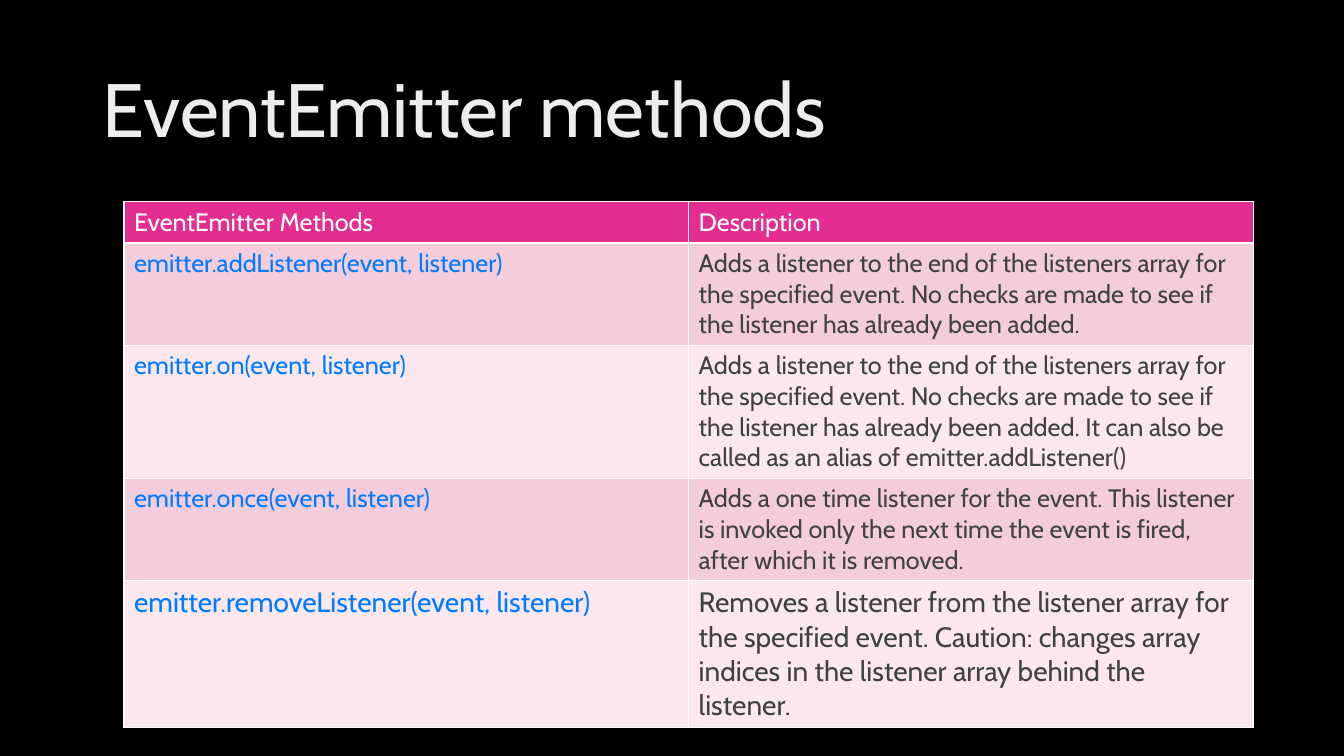
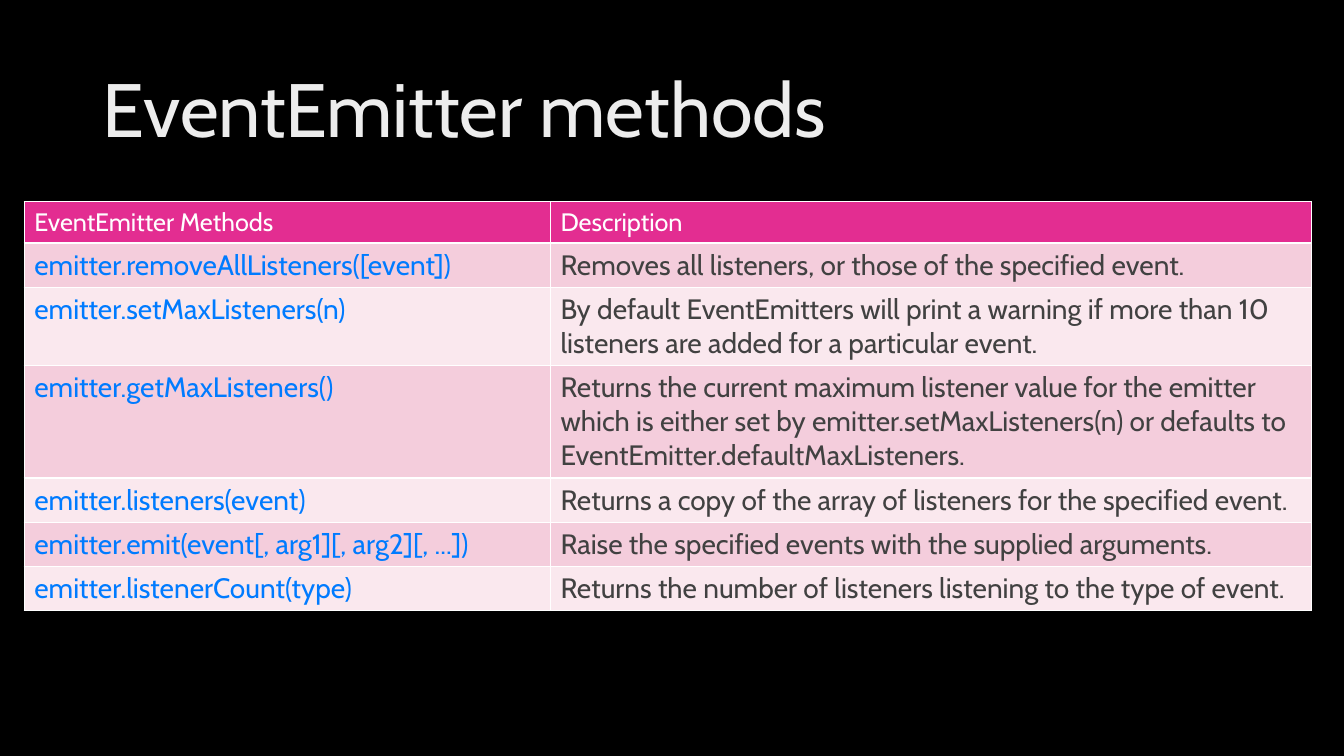
"""Two dark slides listing the EventEmitter methods in pink tables."""
import copy

import pptx
import pptx.util
import pptx.dml.color
import pptx.enum.text
import pptx.oxml
import pptx.oxml.ns

Inches, Pt = pptx.util.Inches, pptx.util.Pt
FONT = "Cabin"
COLORS = {
    "background": "000000",
    "header": "E32D91",
    "bands": ("F4CDDC", "FAE8EE"),
    "border": "FFFFFF",
    "header_text": "FFFFFF",
    "method": "007BFF",
    "description": "414141",
}
TITLE_STOPS = [(0, "DEDEDE"), (0.28, "EDEDED"), (1, "FFFFFF")]
TITLE_BOX = (0.92, 0.4, 11.5, 1.45)
TABLE_TOP, ROW_HEIGHT = 2, 0.41
HEADER = ("EventEmitter Methods", "Description", 18)

SLIDES = [
    {
        "title": "EventEmitter methods",
        "left": 1.23,
        "columns": (5.6, 5.6),
        "rows": [
            ("emitter.addListener(event, listener)",
             "Adds a listener to the end of the listeners array for the specified event. "
             "No checks are made to see if the listener has already been added.", 18),
            ("emitter.on(event, listener)",
             "Adds a listener to the end of the listeners array for the specified event. "
             "No checks are made to see if the listener has already been added. "
             "It can also be called as an alias of emitter.addListener()", 18),
            ("emitter.once(event, listener)",
             "Adds a one time listener for the event. This listener is invoked only "
             "the next time the event is fired, after which it is removed.", 18),
            ("emitter.removeListener(event, listener)",
             "Removes a listener from the listener array for the specified event. "
             "Caution: changes array indices in the listener array behind the listener.", 20),
        ],
    },
    {
        "title": "EventEmitter methods",
        "left": 0.24,
        "columns": (5.22, 7.55),
        "rows": [
            ("emitter.removeAllListeners([event])",
             "Removes all listeners, or those of the specified event.", 20),
            ("emitter.setMaxListeners(n)",
             "By default EventEmitters will print a warning if more than 10 listeners "
             "are added for a particular event.", 20),
            ("emitter.getMaxListeners()",
             "Returns the current maximum listener value for the emitter which is either "
             "set by emitter.setMaxListeners(n) or defaults to "
             "EventEmitter.defaultMaxListeners.", 20),
            ("emitter.listeners(event)",
             "Returns a copy of the array of listeners for the specified event.", 20),
            ("emitter.emit(event[, arg1][, arg2][, ...])",
             "Raise the specified events with the supplied arguments.", 20),
            ("emitter.listenerCount(type)",
             "Returns the number of listeners listening to the type of event.", 20),
        ],
    },
]


def rgb(value):
    return pptx.dml.color.RGBColor.from_string(value)


def paint(fill, color):
    fill.solid()
    fill.fore_color.rgb = rgb(color)


def add_span(para, text, size):
    span = para.add_run()
    span.text = text
    span.font.name, span.font.size = FONT, Pt(size)
    return span


def style_master(deck):
    master = deck.slide_master
    paint(master.background.fill, COLORS["background"])
    layout = deck.slide_layouts.get_by_name("Title Only")
    for owner in (master, layout):
        box = owner.placeholders[0]
        box.left, box.top, box.width, box.height = map(Inches, TITLE_BOX)
    return layout


def write_title(box, text):
    box.text_frame.vertical_anchor = pptx.enum.text.MSO_ANCHOR.MIDDLE
    para = box.text_frame.paragraphs[0]
    para.alignment = pptx.enum.text.PP_ALIGN.LEFT
    para.line_spacing = 0.9
    span = add_span(para, text, 54)
    fill = span.font.fill
    fill.gradient()
    fill.gradient_angle = 280
    stop_list = span._r.find(".//" + pptx.oxml.ns.qn("a:gsLst"))
    stop_list.append(copy.deepcopy(stop_list[-1]))
    for stop, (position, color) in zip(fill.gradient_stops, TITLE_STOPS):
        stop.position = position
        stop.color.rgb = rgb(color)


def add_borders(cell):
    properties = cell._tc.get_or_add_tcPr()
    for side in "LRTB":
        properties.append(pptx.oxml.parse_xml(
            f'<a:ln{side} {pptx.oxml.ns.nsdecls("a")} w="{Pt(1)}"><a:solidFill>'
            f'<a:srgbClr val="{COLORS["border"]}"/></a:solidFill></a:ln{side}>'))


def add_method_table(page, left, columns, rows):
    lines = [HEADER] + rows
    table = page.shapes.add_table(
        len(lines), len(columns), Inches(left), Inches(TABLE_TOP),
        Inches(sum(columns)), Inches(ROW_HEIGHT * len(lines))).table
    table.first_row = table.horz_banding = False
    for column, width in zip(table.columns, columns):
        column.width = Inches(width)
    for index, (method, description, size) in enumerate(lines):
        is_header = index == 0
        band = COLORS["header"] if is_header else COLORS["bands"][(index - 1) % 2]
        for number, (text, role) in enumerate(((method, "method"), (description, "description"))):
            cell = table.cell(index, number)
            add_borders(cell)
            paint(cell.fill, band)
            if is_header:
                cell.vertical_anchor = pptx.enum.text.MSO_ANCHOR.BOTTOM
            span = add_span(cell.text_frame.paragraphs[0], text, size)
            span.font.color.rgb = rgb(COLORS["header_text" if is_header else role])


def main():
    deck = pptx.Presentation()
    deck.slide_width, deck.slide_height = Inches(13.33), Inches(7.5)
    layout = style_master(deck)
    for content in SLIDES:
        page = deck.slides.add_slide(layout)
        write_title(page.shapes.title, content["title"])
        add_method_table(page, content["left"], content["columns"], content["rows"])
    deck.save("out.pptx")


if __name__ == "__main__":
    main()
